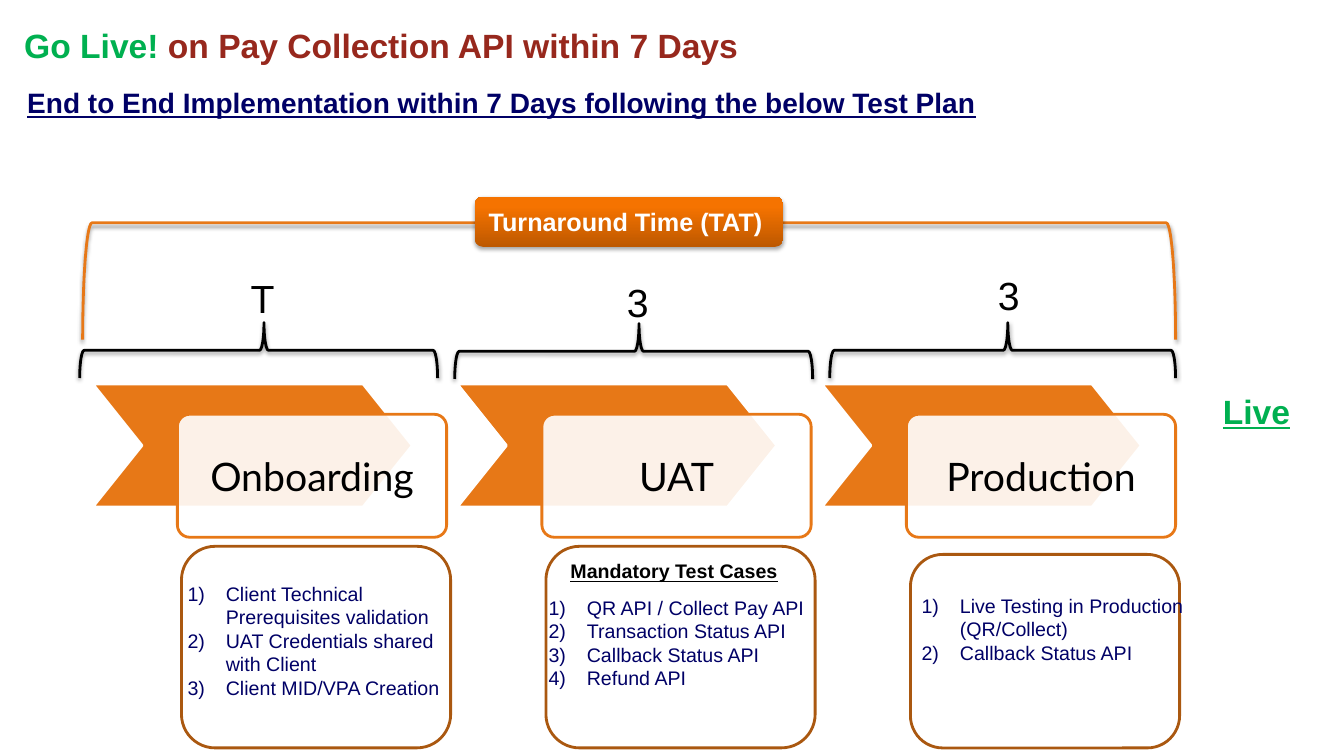
from dataclasses import dataclass
from typing import NamedTuple

from lxml.etree import SubElement
from pptx import Presentation
from pptx.dml.color import RGBColor
from pptx.enum.shapes import MSO_SHAPE
from pptx.enum.text import MSO_ANCHOR, MSO_AUTO_SIZE, PP_ALIGN
from pptx.oxml.ns import qn
from pptx.util import Inches, Pt

ORANGE = "E77817"
BROWN = "AA5810"
NAVY = "000066"
GREEN = "00B050"
RED = "97281D"
BLACK = "000000"
WHITE = "FFFFFF"
PHASE_PITCH = 7.23 / 2
LIST_INDENT = 0.38


class Box(NamedTuple):
    left: float
    top: float
    width: float
    height: float

    def lengths(self) -> list:
        return [Inches(value) for value in self]


@dataclass
class Phase:
    name: str
    days: str
    brace: Box
    days_box: Box
    details_top: float
    list_box: Box
    tasks: list[str]


PHASES = [
    Phase("Onboarding", "T", Box(2.29, 1.7, 0.55, 3.55), Box(2.39, 2.67, 0.43, 0.57),
          5.42, Box(1.76, 5.72, 2.81, 1.27),
          ["Client Technical Prerequisites validation",
           "UAT Credentials shared with Client",
           "Client MID/VPA Creation"]),
    Phase("UAT", "3", Box(6.01, 1.71, 0.55, 3.55), Box(6.11, 2.71, 0.43, 0.57),
          5.42, Box(5.34, 5.86, 2.81, 1.03),
          ["QR API / Collect Pay API", "Transaction Status API",
           "Callback Status API", "Refund API"]),
    Phase("Production", "3", Box(9.67, 1.76, 0.55, 3.43), Box(9.79, 2.64, 0.43, 0.57),
          5.5, Box(9.04, 5.84, 2.81, 1.03),
          ["Live Testing in Production (QR/Collect)", "Callback Status API"]),
]


def color(value: str) -> RGBColor:
    return RGBColor.from_string(value)


def add_span(para, text: str, *, size: float, fill: str, font: str = "Arial",
             bold: bool = False, underline: bool = False) -> None:
    span = para.add_run()
    span.text = text
    span.font.name = font
    span.font.size = Pt(size)
    span.font.bold = bold
    span.font.underline = underline
    span.font.color.rgb = color(fill)


def place(shape, box: Box) -> None:
    shape.left, shape.top, shape.width, shape.height = box.lengths()


def prepare_frame(shape, *, wrap: bool = True, anchor=MSO_ANCHOR.TOP,
                  inset_top: float = 0.05):
    frame = shape.text_frame
    frame.auto_size = MSO_AUTO_SIZE.NONE
    frame.word_wrap = wrap
    frame.vertical_anchor = anchor
    frame.margin_top = Inches(inset_top)
    return frame


def write_line(shape, text: str, *, align=PP_ALIGN.LEFT, wrap: bool = True,
               anchor=MSO_ANCHOR.TOP, inset_top: float = 0.05, **style):
    para = prepare_frame(shape, wrap=wrap, anchor=anchor, inset_top=inset_top).paragraphs[0]
    para.alignment = align
    para.space_before = Pt(0)
    add_span(para, text, **style)
    return para


def write_numbered_list(shape, items: list[str]) -> None:
    frame = prepare_frame(shape)
    for position, item in enumerate(items):
        para = frame.add_paragraph() if position else frame.paragraphs[0]
        para.space_before = Pt(0)
        properties = para._p.get_or_add_pPr()
        properties.set("marL", str(Inches(LIST_INDENT)))
        properties.set("indent", str(-Inches(LIST_INDENT)))
        bullet_color = SubElement(properties, qn("a:buClr"))
        SubElement(bullet_color, qn("a:srgbClr"), val=NAVY)
        SubElement(properties, qn("a:buFont"), typeface="+mj-lt")
        SubElement(properties, qn("a:buAutoNum"), type="arabicParenR")
        add_span(para, item, size=14, fill=NAVY)


def add_figure(page, kind, box: Box, *, fill: str | None = None, line: str | None = None,
               adjust: tuple = (), rotation: float = 0):
    shape = page.shapes.add_shape(kind, *box.lengths())
    shape.shadow.inherit = False
    shape.rotation = rotation
    for position, value in enumerate(adjust):
        shape.adjustments[position] = value
    if fill:
        shape.fill.solid()
        shape.fill.fore_color.rgb = color(fill)
    else:
        shape.fill.background()
    if line:
        shape.line.color.rgb = color(line)
        shape.line.width = Pt(2)
    else:
        shape.line.fill.background()
    return shape


def add_shadow(shape, opacity: int, distance: float) -> None:
    effects = shape.element.spPr.find(qn("a:effectLst"))
    shadow = SubElement(effects, qn("a:outerShdw"), blurRad=str(Pt(3.1)),
                        dist=str(Pt(distance)), dir="5400000", rotWithShape="0")
    tint = SubElement(shadow, qn("a:srgbClr"), val=BLACK)
    SubElement(tint, qn("a:alpha"), val=str(opacity * 1000))


def draw_phase(page, phase: Phase, offset: float, list_holder) -> None:
    add_figure(page, MSO_SHAPE.CHEVRON, Box(0.92 + offset, 3.81, 3.17, 1.22),
               fill=ORANGE, line=WHITE, adjust=(0.4,))
    card = add_figure(page, MSO_SHAPE.ROUNDED_RECTANGLE, Box(1.76 + offset, 4.11, 2.67, 1.22),
                      fill=WHITE, line=ORANGE, adjust=(0.1,))
    tint = card.element.spPr.find(qn("a:solidFill")).find(qn("a:srgbClr"))
    SubElement(tint, qn("a:alpha"), val="90000")
    write_line(card, phase.name, align=PP_ALIGN.CENTER, anchor=MSO_ANCHOR.MIDDLE,
               size=28, fill=BLACK, font="Lato")

    brace = add_figure(page, MSO_SHAPE.RIGHT_BRACE, phase.brace, line=BLACK,
                       adjust=(0.08, 0.515), rotation=270)
    add_shadow(brace, 38, 1.6)
    days = page.shapes.add_textbox(*phase.days_box.lengths())
    write_line(days, phase.days, align=PP_ALIGN.CENTER, wrap=False, size=28, fill=BLACK)

    details = add_figure(page, MSO_SHAPE.ROUNDED_RECTANGLE,
                         Box(1.8 + offset, phase.details_top, 2.67, 7.42 - phase.details_top),
                         fill=WHITE, line=BROWN, adjust=(0.167,))
    place(list_holder, phase.list_box)
    write_numbered_list(list_holder, phase.tasks)
    details.element.addnext(list_holder.element)


def draw_turnaround(page) -> None:
    bracket = add_figure(page, MSO_SHAPE.RIGHT_BRACKET, Box(5.66, -2.63, 1.16, 10.84),
                         line=ORANGE, adjust=(0.08,), rotation=270)
    add_shadow(bracket, 38, 1.6)
    badge = add_figure(page, MSO_SHAPE.ROUNDED_RECTANGLE, Box(4.71, 1.95, 3.06, 0.5),
                       adjust=(0.167,))
    badge.fill.gradient()
    badge.fill.gradient_angle = 90
    for stop, (position, shade) in zip(badge.fill.gradient_stops,
                                       [(0, "BD5800"), (0.8, "F57300")]):
        stop.position = position
        stop.color.rgb = color(shade)
    add_shadow(badge, 35, 1.8)
    write_line(badge, "Turnaround Time (TAT) ", align=PP_ALIGN.CENTER,
               anchor=MSO_ANCHOR.MIDDLE, size=18, fill=WHITE, bold=True)


def main() -> None:
    deck = Presentation()
    deck.slide_width, deck.slide_height = Inches(13.33), Inches(7.5)
    page = deck.slides.add_slide(deck.slide_layouts.get_by_name("Comparison"))
    title, subtitle, *list_holders = page.placeholders

    place(title, Box(0.14, 0.17, 12.78, 0.54))
    headline = write_line(title, "Go Live! ", inset_top=0.08, size=24, fill=GREEN, bold=True)
    add_span(headline, "on Pay Collection API within 7 Days", size=24, fill=RED, bold=True)
    place(subtitle, Box(0.17, 0.77, 12.78, 0.54))
    write_line(subtitle, "End to End Implementation within 7 Days following the below Test Plan",
               inset_top=0.08, size=20, fill=NAVY, bold=True, underline=True)

    for position, (phase, holder) in enumerate(zip(PHASES, list_holders)):
        draw_phase(page, phase, position * PHASE_PITCH, holder)
    draw_turnaround(page)

    heading = page.shapes.add_textbox(*Box(5.56, 5.5, 2.37, 0.33).lengths())
    write_line(heading, "Mandatory Test Cases", size=14, fill=BLACK, bold=True, underline=True)
    live = page.shapes.add_textbox(*Box(12.03, 3.8, 1.3, 0.54).lengths())
    write_line(live, "Live", inset_top=0.08, size=24, fill=GREEN, bold=True, underline=True)
    deck.save("out.pptx")


if __name__ == "__main__":
    main()
